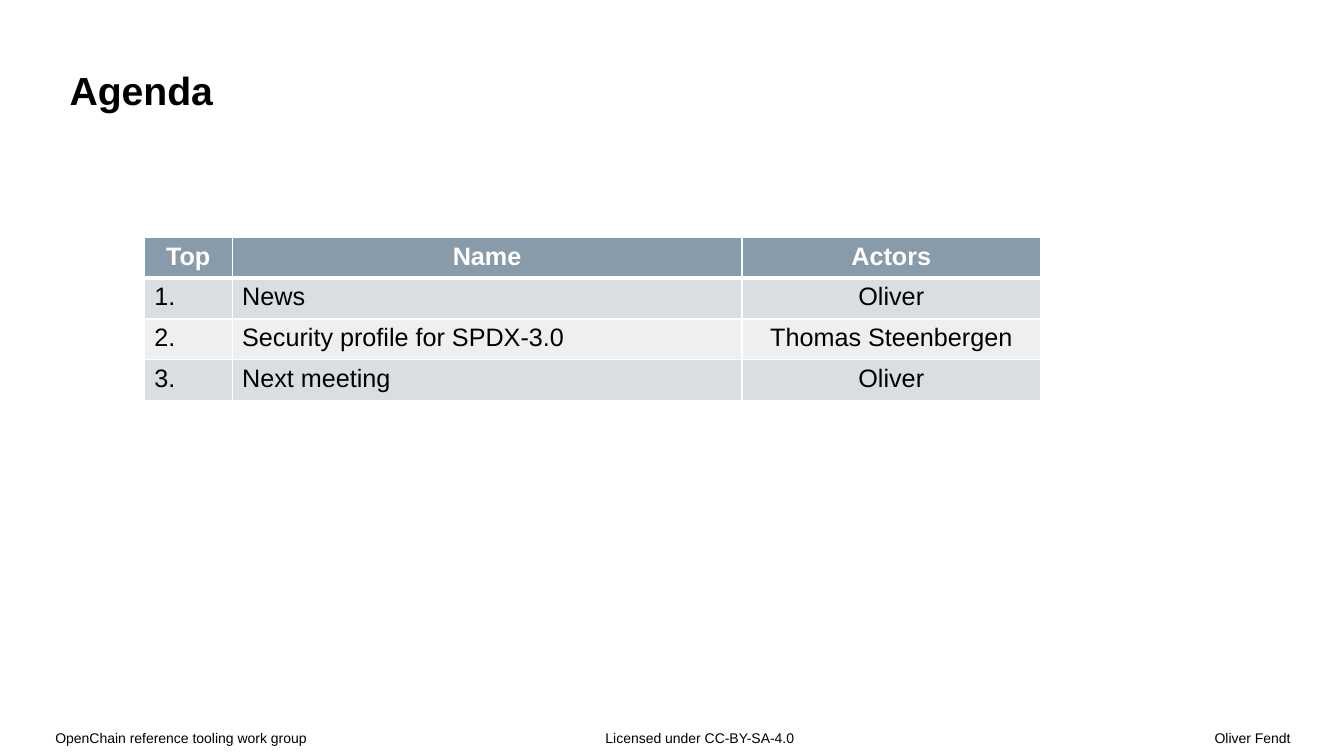
from lxml import etree
from pptx import Presentation
from pptx import util as u
from pptx.dml.color import RGBColor
from pptx.enum import text
from pptx.oxml import ns

COLORS = {"ink": "000000", "paper": "FFFFFF", "header": "879BAA",
          "odd": "D9DEE2", "even": "EDEFF1"}
LEFT, CENTER, RIGHT = text.PP_ALIGN.LEFT, text.PP_ALIGN.CENTER, text.PP_ALIGN.RIGHT


class AgendaSlide:
    font_name = "Arial"

    def __init__(self, deck):
        self.slide = deck.slides.add_slide(deck.slide_layouts[5])

    def set_text(self, frame, wording, size, color="ink", bold=False, align=LEFT):
        frame.text = wording
        paragraph = frame.paragraphs[0]
        paragraph.alignment = align
        font = paragraph.font
        font.name, font.size, font.bold = self.font_name, u.Pt(size), bold
        font.color.rgb = RGBColor.from_string(COLORS[color])
        return paragraph

    def place(self, shape, box, margins, anchor):
        shape.left, shape.top, shape.width, shape.height = map(u.Pt, box)
        frame = shape.text_frame
        frame.word_wrap = True
        frame.auto_size = text.MSO_AUTO_SIZE.NONE
        frame.vertical_anchor = anchor
        (frame.margin_left, frame.margin_top,
         frame.margin_right, frame.margin_bottom) = map(u.Pt, margins)
        return frame

    def title(self, wording, box, margins):
        frame = self.place(self.slide.shapes.title, box, margins, text.MSO_ANCHOR.BOTTOM)
        self.set_text(frame, wording, 28, bold=True)

    def footer(self, wording, left, width, align):
        box = (left, 520, width, 20)
        shape = self.slide.shapes.add_textbox(*map(u.Pt, box))
        frame = self.place(shape, box, (0, 0, 0, 9), text.MSO_ANCHOR.TOP)
        self.set_text(frame, wording, 10, align=align).line_spacing = 1.1

    def border(self, cell, side, width):
        line = etree.SubElement(cell._tc.get_or_add_tcPr(), ns.qn(f"a:ln{side}"),
                                w=str(u.Pt(width)))
        fill = etree.SubElement(line, ns.qn("a:solidFill"))
        etree.SubElement(fill, ns.qn("a:srgbClr"), val=COLORS["paper"])

    def table(self, rows, left, top, widths, row_height):
        frame = self.slide.shapes.add_table(
            len(rows), len(widths), u.Pt(left), u.Pt(top),
            u.Pt(sum(widths)), u.Pt(row_height * len(rows)))
        agenda = frame.table
        for column, width in zip(agenda.columns, widths):
            column.width = u.Pt(width)
        for r, row in enumerate(rows):
            agenda.rows[r].height = u.Pt(row_height)
            header = r == 0
            band = "header" if header else "odd" if r % 2 else "even"
            for c, wording in enumerate(row):
                cell = agenda.cell(r, c)
                for side in "LRTB":
                    heavy = (r, side) in ((0, "B"), (1, "T"))
                    self.border(cell, side, 3 if heavy else 1)
                cell.fill.solid()
                cell.fill.fore_color.rgb = RGBColor.from_string(COLORS[band])
                self.set_text(cell.text_frame, wording, 18,
                              color="paper" if header else "ink", bold=header,
                              align=CENTER if header or c == 2 else LEFT)


def main():
    deck = Presentation()
    deck.slide_width, deck.slide_height = u.Pt(960.5), u.Pt(540)
    page = AgendaSlide(deck)
    page.footer("OpenChain reference tooling work group", 39.6, 230, LEFT)
    page.footer("Licensed under CC-BY-SA-4.0", 432.7, 170, LEFT)
    page.footer("Oliver Fendt", 722.3, 200, RIGHT)
    page.title("Agenda", (0, 0, 960.5, 100), (49.7, 31, 167, 18.7))
    page.table([("Top", "Name", "Actors"),
                ("1.", "News", "Oliver"),
                ("2.", "Security profile for SPDX-3.0", "Thomas Steenbergen"),
                ("3.", "Next meeting", "Oliver")],
               103.2, 169.4, (62.7, 364.4, 213.4), 29.2)
    deck.save("out.pptx")


if __name__ == "__main__":
    main()
